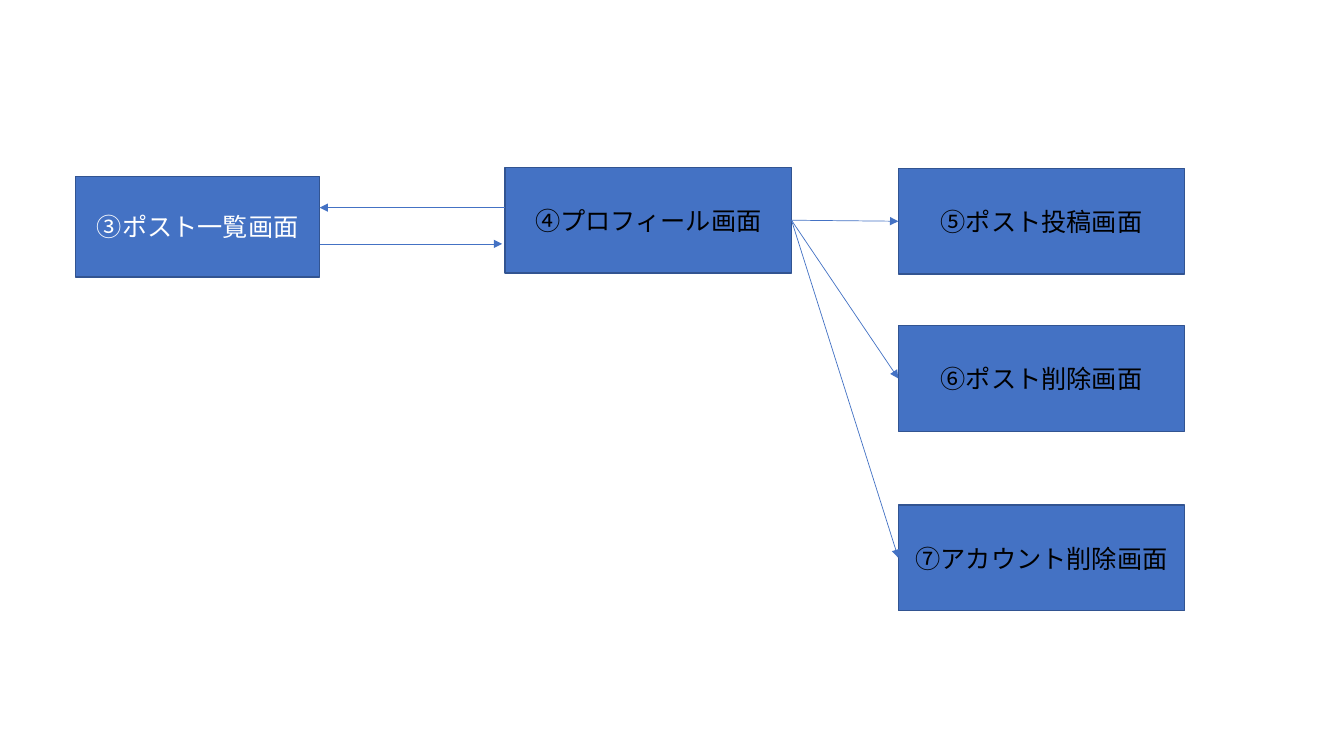
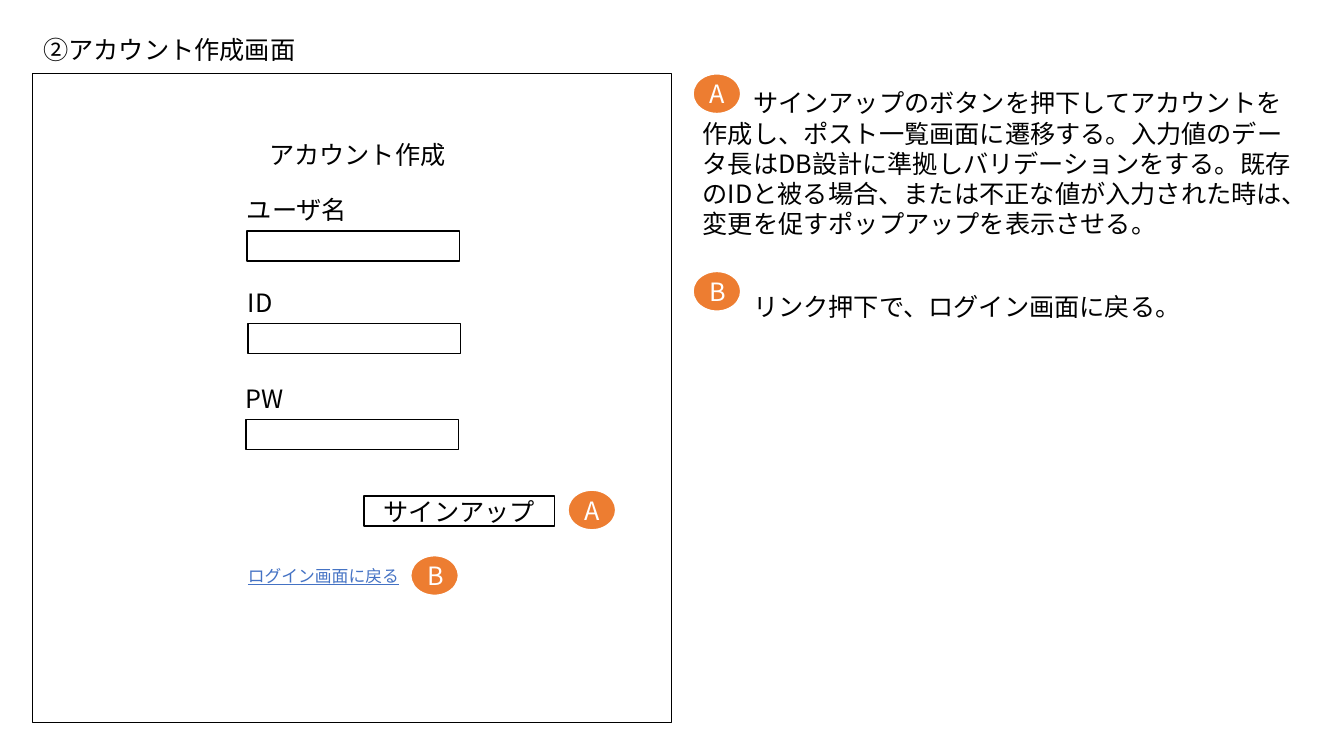
from lxml import etree
from pptx import Presentation, util as u
from pptx.dml.color import RGBColor
from pptx.enum import shapes, text
from pptx.oxml.ns import qn

PX = 9144  # 100 px to the inch
FONT = "Noto Sans CJK JP"
BLUE, NAVY, ORANGE = "4472C4", "325491", "ED7D31"
BLACK, WHITE = "000000", "FFFFFF"
LEFT, CENTER = text.PP_ALIGN.LEFT, text.PP_ALIGN.CENTER
RECT, OVAL = shapes.MSO_SHAPE.RECTANGLE, shapes.MSO_SHAPE.OVAL
SITE_LEFT, SITE_RIGHT = 1, 3

# Screen flow: text, (left, top, width, height), text colour
LIST_SCREEN = ("③ポスト一覧画面", (75, 175, 242, 100), WHITE)
PROFILE_SCREEN = ("④プロフィール画面", (501, 166, 284, 105), BLACK)
TARGET_LEFT = 891
TARGET_SCREENS = [("⑤ポスト投稿画面", 167), ("⑥ポスト削除画面", 323), ("⑦アカウント削除画面", 501)]
LIST_ARROWS = [((317, 242), (498, 242)), ((501, 206), (317, 206))]

# Account creation screen
TITLE = ("②アカウント作成画面", (33, 29, 461, 40))
FRAME = (32, 73, 634, 644)
HEADING = ("アカウント作成", (257, 133, 250, 40))
FIELDS = [("ユーザ名", 245, 229), ("ID", 246, 321), ("PW", 244, 416)]
FIELD_SIZE = (211, 30)
BUTTON = ("サインアップ", (361, 492, 189, 30))
LINK = ("ログイン画面に戻る", (236, 556, 200, 30))
MARKERS = [("A", 563, 486), ("B", 407, 551), ("A", 687, 73), ("B", 687, 269)]
MARKER_SIZE = (48, 40)
NOTES = [
    ("サインアップのボタンを押下してアカウントを作成し、ポスト一覧画面に遷移する。"
     "入力値のデータ長はDB設計に準拠しバリデーションをする。"
     "既存のIDと被る場合、または不正な値が入力された時は、"
     "変更を促すポップアップを表示させる。", (687, 82, 615, 162)),
    ("リンク押下で、ログイン画面に戻る。", (687, 284, 615, 40)),
]
NOTE_INDENT = 50


def color(value):
    return RGBColor.from_string(value)


def emu(lengths):
    return [length * PX for length in lengths]


def write(frame, words, ink=BLACK, size=18, align=LEFT):
    frame.word_wrap = True
    para = frame.paragraphs[0]
    para.text = words
    para.alignment = align
    para.line_spacing = 1.0
    font = para.font
    font.name, font.size = FONT, u.Pt(size)
    font.color.rgb = color(ink)
    # East Asian text takes its typeface from a:ea
    defaults = para._p.pPr.find(qn("a:defRPr"))
    etree.SubElement(defaults, qn("a:ea")).set("typeface", FONT)
    return para


def add_box(slide, place, words="", kind=RECT, fill=WHITE, edge=BLACK, width=1, ink=BLACK):
    box = slide.shapes.add_shape(kind, *emu(place))
    box.shadow.inherit = False
    box.fill.solid()
    box.fill.fore_color.rgb = color(fill)
    box.line.color.rgb = color(edge)
    box.line.width = u.Pt(width)
    if words:
        box.text_frame.vertical_anchor = text.MSO_ANCHOR.MIDDLE
        write(box.text_frame, words, ink, align=CENTER)
    return box


def add_text(slide, words, place, **style):
    return write(slide.shapes.add_textbox(*emu(place)).text_frame, words, **style)


def add_arrow(slide, start=(0, 0), end=(0, 0)):
    arrow = slide.shapes.add_connector(shapes.MSO_CONNECTOR.STRAIGHT, *emu(start + end))
    arrow.line.color.rgb = color(BLUE)
    arrow.line.width = u.Pt(0.5)
    properties = arrow._element.spPr
    etree.SubElement(properties.find(qn("a:ln")), qn("a:tailEnd")).set("type", "triangle")
    etree.SubElement(properties, qn("a:effectLst"))
    return arrow


def add_screen(slide, words, place, ink=BLACK):
    return add_box(slide, place, words, fill=BLUE, edge=NAVY, ink=ink)


def build_flow(deck):
    slide = deck.slides.add_slide(deck.slide_layouts[6])
    add_screen(slide, *LIST_SCREEN)
    profile = add_screen(slide, *PROFILE_SCREEN)
    for words, top in TARGET_SCREENS:
        target = add_screen(slide, words, (TARGET_LEFT, top, *PROFILE_SCREEN[1][2:]))
        arrow = add_arrow(slide)
        arrow.begin_connect(profile, SITE_RIGHT)
        arrow.end_connect(target, SITE_LEFT)
    for start, end in LIST_ARROWS:
        add_arrow(slide, start, end)


def build_account_screen(deck):
    slide = deck.slides.add_slide(deck.slide_layouts[5])
    title = slide.shapes.title
    words, place = TITLE
    title.left, title.top, title.width, title.height = emu(place)
    title.text_frame.vertical_anchor = text.MSO_ANCHOR.TOP
    write(title.text_frame, words)

    add_box(slide, FRAME)
    add_text(slide, *HEADING)
    for label, left, top in FIELDS:
        add_text(slide, label, (left - 10, top - 41, 211, 40))
        add_box(slide, (left, top, *FIELD_SIZE))
    words, place = BUTTON
    add_box(slide, place, words)
    add_text(slide, *LINK, ink=BLUE, size=12).font.underline = True

    for words, place in NOTES:
        properties = add_text(slide, words, place)._p.get_or_add_pPr()
        properties.set("marL", "0")
        properties.set("indent", str(NOTE_INDENT * PX))
    for letter, left, top in MARKERS:
        add_box(slide, (left, top, *MARKER_SIZE), letter, OVAL, ORANGE, WHITE, 1.5, WHITE)


def main():
    deck = Presentation()
    deck.slide_width, deck.slide_height = emu((1333, 750))
    build_flow(deck)
    build_account_screen(deck)
    deck.save("out.pptx")


if __name__ == "__main__":
    main()
